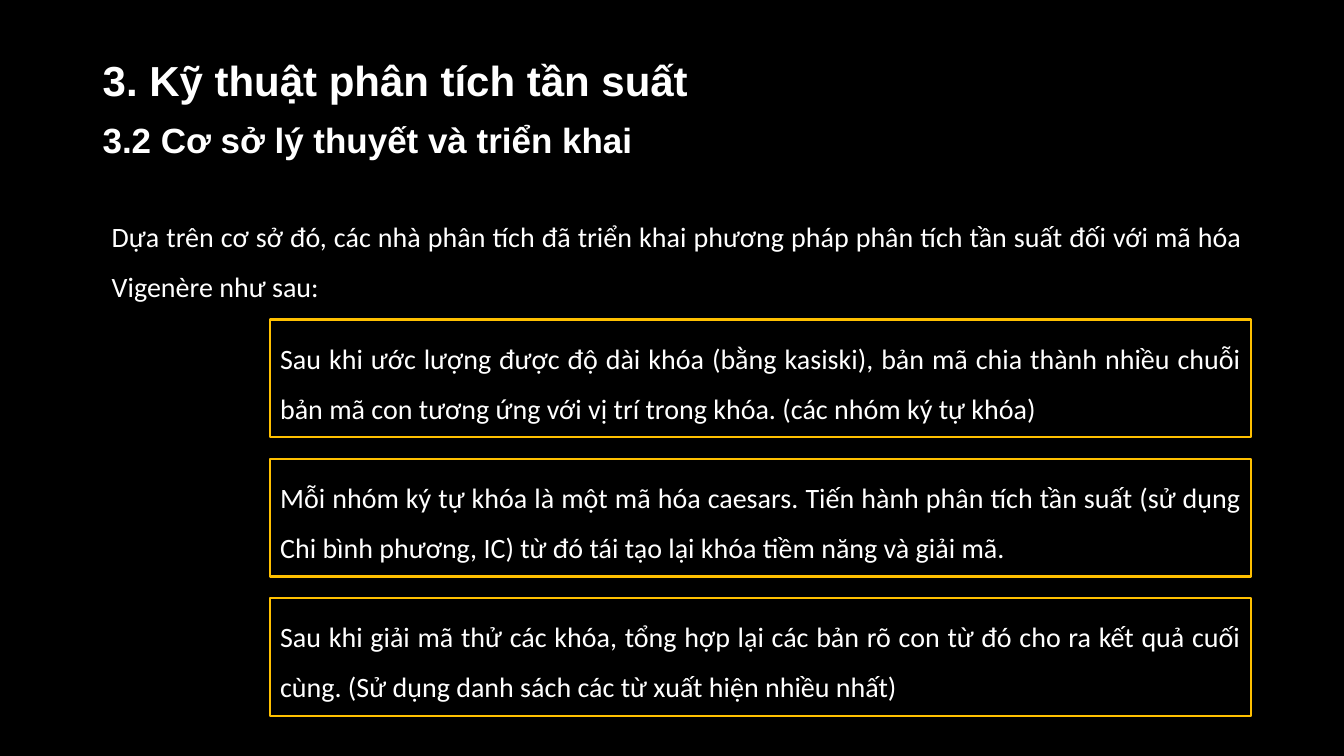
"""Build the slide on frequency analysis of the Vigenère cipher."""
import pptx
import pptx.dml.color
import pptx.enum.shapes
import pptx.enum.text
import pptx.util

Inches = pptx.util.Inches
Anchor = pptx.enum.text.MSO_ANCHOR
Align = pptx.enum.text.PP_ALIGN

BLACK, WHITE, GOLD = "000000", "FFFFFF", "FFC000"
BODY_FORMAT = {"size": 20, "font": "Calibri", "align": Align.JUSTIFY, "spacing": 1.5}
HEADING_FORMAT = {"font": "Arial", "bold": True, "anchor": Anchor.MIDDLE, "spacing": 0.9}
INTRODUCTION = (
    "Dựa trên cơ sở đó, các nhà phân tích đã triển khai phương pháp phân tích "
    "tần suất đối với mã hóa Vigenère như sau:"
)
STEPS = [
    "Sau khi ước lượng được độ dài khóa (bằng kasiski), bản mã chia thành nhiều chuỗi "
    "bản mã con tương ứng với vị trí trong khóa. (các nhóm ký tự khóa)",
    "Mỗi nhóm ký tự khóa là một mã hóa caesars. Tiến hành phân tích tần suất (sử dụng "
    "Chi bình phương, IC) từ đó tái tạo lại khóa tiềm năng và giải mã.",
    "Sau khi giải mã thử các khóa, tổng hợp lại các bản rõ con từ đó cho ra kết quả cuối "
    "cùng. (Sử dụng danh sách các từ xuất hiện nhiều nhất)",
]
STEP_TOP, STEP_PITCH = 3.17, 1.38


def color(value):
    """Return the colour for a hex string."""
    return pptx.dml.color.RGBColor.from_string(value)


def write_text(shape, text, *, size, font, spacing, bold=False,
               align=Align.LEFT, anchor=Anchor.TOP):
    """Put one formatted white paragraph into a shape."""
    frame = shape.text_frame
    frame.word_wrap = True
    frame.vertical_anchor = anchor
    paragraph = frame.paragraphs[0]
    paragraph.alignment = align
    paragraph.line_spacing = spacing
    run = paragraph.add_run()
    run.text = text
    run.font.size = pptx.util.Pt(size)
    run.font.name = font
    run.font.bold = bold
    run.font.color.rgb = color(WHITE)


def add_text(slide, text, left, top, width, height, **text_format):
    """Add a text box."""
    shape = slide.shapes.add_textbox(Inches(left), Inches(top), Inches(width), Inches(height))
    write_text(shape, text, **text_format)


def add_step(slide, text, top):
    """Add a gold-framed box for one step of the method."""
    shape = slide.shapes.add_shape(
        pptx.enum.shapes.MSO_SHAPE.RECTANGLE,
        Inches(2.68), Inches(top), Inches(9.73), Inches(1.17))
    shape.shadow.inherit = False
    shape.fill.solid()
    shape.fill.fore_color.rgb = color(BLACK)
    shape.line.color.rgb = color(GOLD)
    shape.line.width = pptx.util.Pt(1.5)
    write_text(shape, text, **BODY_FORMAT)


def main():
    """Build and save the presentation."""
    presentation = pptx.Presentation()
    presentation.slide_width = Inches(13.33)
    presentation.slide_height = Inches(7.5)
    slide = presentation.slides.add_slide(presentation.slide_layouts[6])
    slide.background.fill.solid()
    slide.background.fill.fore_color.rgb = color(BLACK)

    add_text(slide, "3. Kỹ thuật phân tích tần suất", 0.92, 0.4, 11.5, 0.84,
             size=30, **HEADING_FORMAT)
    add_text(slide, "3.2 Cơ sở lý thuyết và triển khai", 0.92, 1.12, 11.5, 0.58,
             size=25, **HEADING_FORMAT)
    add_text(slide, INTRODUCTION, 1.01, 1.96, 11.41, 1.17, **BODY_FORMAT)
    for index, step in enumerate(STEPS):
        add_step(slide, step, STEP_TOP + index * STEP_PITCH)

    presentation.save("out.pptx")


if __name__ == "__main__":
    main()
